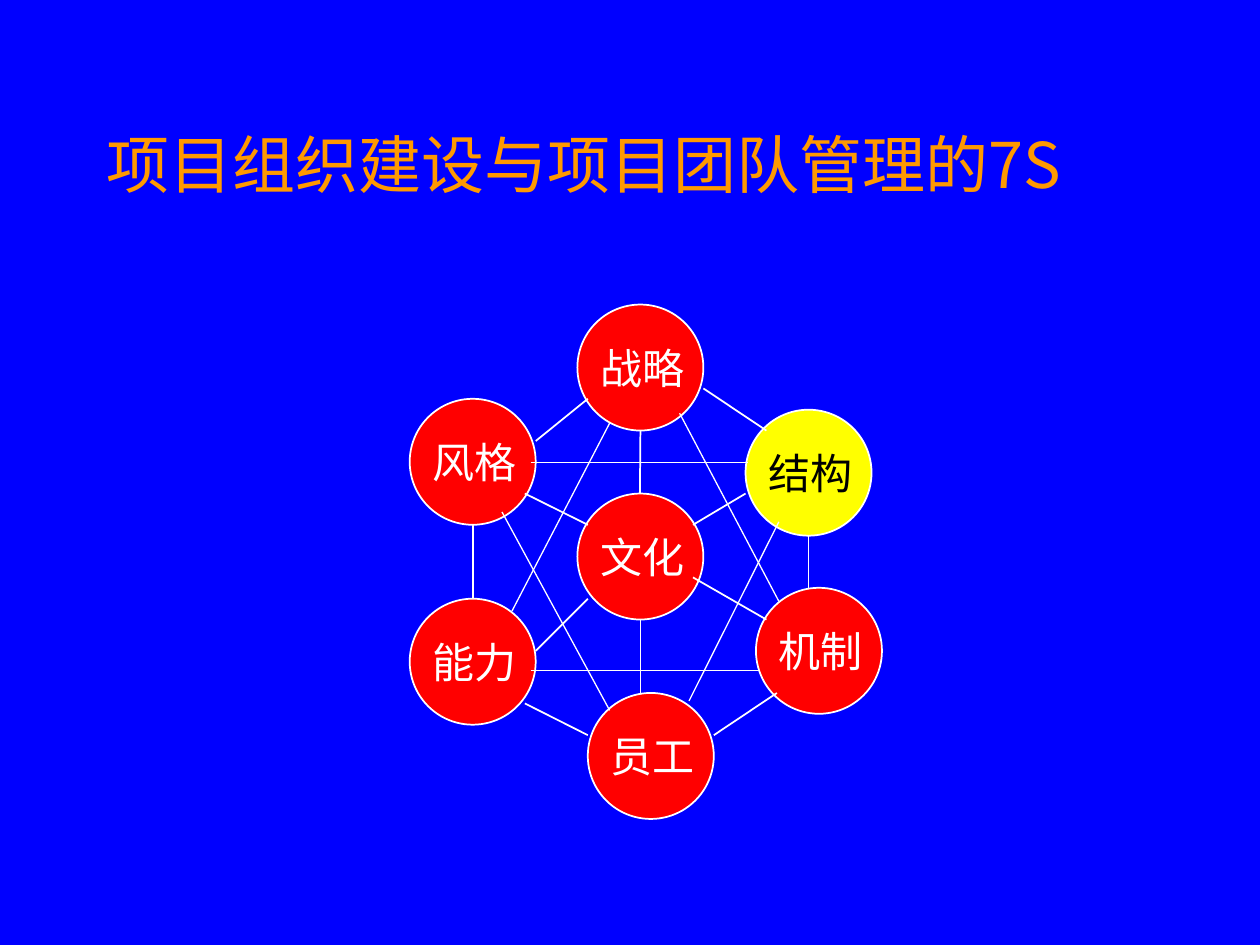
from dataclasses import dataclass

from lxml import etree
from pptx import Presentation
from pptx import util as u
from pptx.dml.color import RGBColor
from pptx.enum import shapes, text
from pptx.oxml.ns import qn


@dataclass(frozen=True)
class Theme:
    background: RGBColor = RGBColor(0x00, 0x00, 0xFF)
    title: RGBColor = RGBColor(0xFF, 0x99, 0x00)
    circle: RGBColor = RGBColor(0xFF, 0x00, 0x00)
    highlight: RGBColor = RGBColor(0xFF, 0xFF, 0x00)
    light: RGBColor = RGBColor(0xFF, 0xFF, 0xFF)
    dark: RGBColor = RGBColor(0x00, 0x00, 0x00)
    title_font: str = "Noto Sans CJK SC"
    label_font: str = "Times New Roman"
    title_size: int = 36
    label_size: int = 24


theme = Theme()
DIAMETER = 2.54
LABEL_DX, LABEL_DY = 0.21, 0.64
LABEL_WIDTH, LABEL_HEIGHT = 2.4, 1.27

# Label, left and top of each circle in cm
elements = [
    ("战略", 11.64, 6.14),
    ("文化", 11.64, 9.95),
    ("员工", 11.85, 13.97),
    ("机制", 15.24, 11.85),
    ("能力", 8.26, 12.07),
    ("结构", 15.03, 8.26),
    ("风格", 8.26, 8.04),
]
highlighted = "结构"

# Start x, start y, end x, end y in cm, grouped by line width in points
links = {
    1: [
        # outer ring
        (11.85, 8.04, 10.8, 8.89),
        (9.53, 10.58, 9.53, 12.07),
        (10.58, 14.18, 11.85, 14.82),
        (15.66, 13.97, 14.39, 14.82),
        (16.3, 10.8, 16.3, 11.85),
        (14.18, 7.83, 15.45, 8.68),
        # spokes from the centre
        (12.91, 8.68, 12.9, 9.94),
        (12.91, 12.49, 12.91, 13.97),
        (10.58, 9.95, 11.85, 10.58),
        (10.8, 13.12, 11.85, 12.07),
        (13.97, 10.58, 15.03, 9.95),
        (13.97, 11.64, 15.45, 12.49),
    ],
    0.75: [
        # diagonals between circles two steps apart
        (13.7, 8.33, 15.7, 12.12),
        (15.7, 10.52, 13.89, 14.13),
        (10.7, 13.52, 15.3, 13.52),
        (10.12, 10.32, 12.29, 14.32),
        (12.29, 8.53, 10.32, 12.32),
        (10.7, 9.32, 15.08, 9.32),
    ],
}


def add_text(para, words, font_name, size, color):
    span = para.add_run()
    span.text = words
    span.font.name = font_name
    span.font.size = u.Pt(size)
    span.font.color.rgb = color
    return span


deck = Presentation()
deck.slide_width, deck.slide_height = u.Cm(25.4), u.Cm(19.05)
page = deck.slides.add_slide(deck.slide_layouts[5])
page.background.fill.solid()
page.background.fill.fore_color.rgb = theme.background

title = page.shapes.title
title.left, title.top = u.Cm(1.9), u.Cm(1.7)
title.width, title.height = u.Cm(21.6), u.Cm(3.18)
title.text_frame.auto_size = text.MSO_AUTO_SIZE.NONE
title.text_frame.vertical_anchor = text.MSO_ANCHOR.MIDDLE
para = title.text_frame.paragraphs[0]
para.alignment = text.PP_ALIGN.LEFT
span = add_text(para, "项目组织建设与项目团队管理的7S",
                theme.title_font, theme.title_size, theme.title)
east_asian = etree.SubElement(span.font._element, qn("a:ea"))
east_asian.set("typeface", theme.title_font)

for label, left, top in elements:
    circle = page.shapes.add_shape(
        shapes.MSO_SHAPE.OVAL, u.Cm(left), u.Cm(top), u.Cm(DIAMETER), u.Cm(DIAMETER))
    circle.shadow.inherit = False
    circle.fill.solid()
    circle.fill.fore_color.rgb = theme.highlight if label == highlighted else theme.circle
    circle.line.color.rgb = theme.light
    circle.line.width = u.Pt(1)

for label, left, top in elements:
    box = page.shapes.add_textbox(
        u.Cm(left + LABEL_DX), u.Cm(top + LABEL_DY), u.Cm(LABEL_WIDTH), u.Cm(LABEL_HEIGHT))
    box.text_frame.word_wrap = True
    box.text_frame.auto_size = text.MSO_AUTO_SIZE.SHAPE_TO_FIT_TEXT
    add_text(box.text_frame.paragraphs[0], label, theme.label_font, theme.label_size,
             theme.dark if label == highlighted else theme.light)

for width, lines in links.items():
    for ends in lines:
        link = page.shapes.add_connector(
            shapes.MSO_CONNECTOR.STRAIGHT, *(u.Cm(value) for value in ends))
        link.line.color.rgb = theme.light
        link.line.width = u.Pt(width)
        etree.SubElement(link._element.spPr, qn("a:effectLst"))

deck.save("out.pptx")
